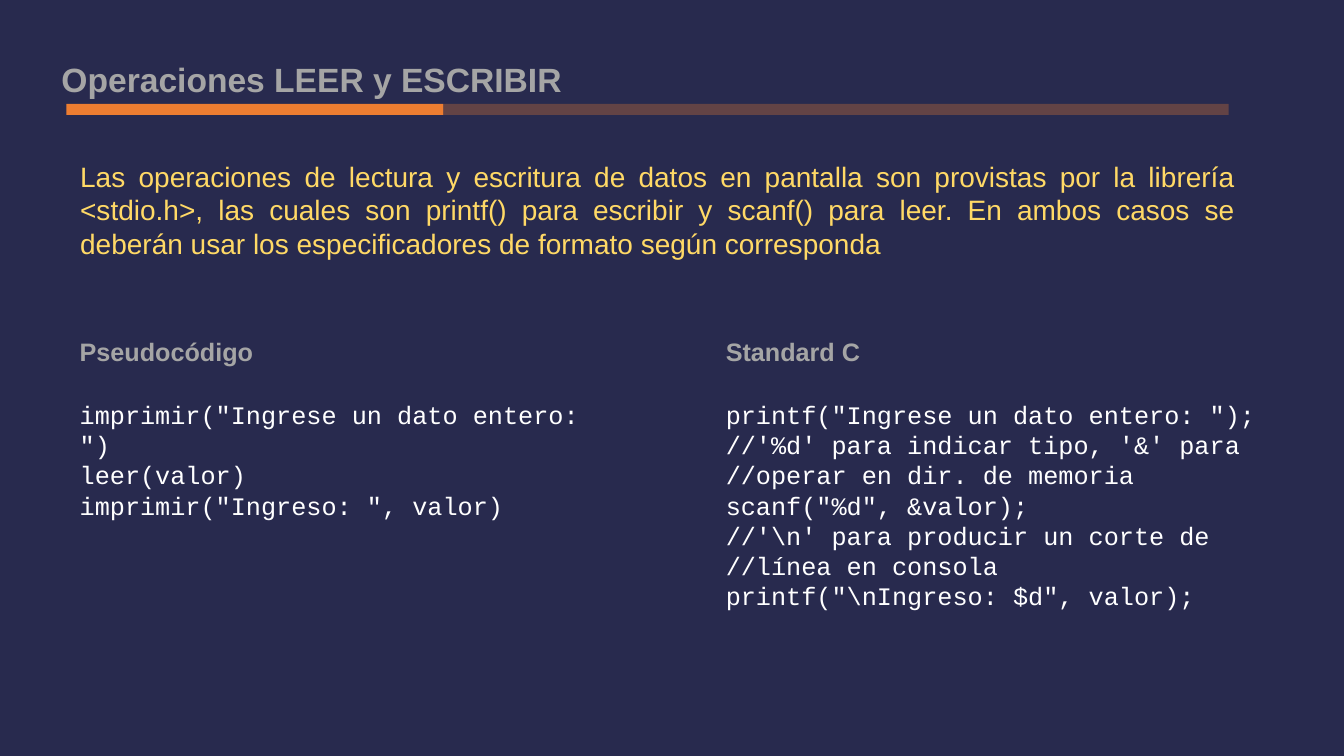
from dataclasses import dataclass

from pptx import Presentation
from pptx.dml.color import RGBColor as Rgb
from pptx.enum import shapes as shp, text as txt
from pptx.oxml.ns import qn
from pptx.util import Pt


@dataclass(frozen=True)
class Theme:
    back: str = "282A4E"
    head: str = "A5A5A5"
    accent: str = "ED7D31"
    lead: str = "FFD966"
    code: str = "FFFFFF"
    sans: str = "Arial"
    mono: str = "Courier New"
    big: int = 24
    mid: int = 20
    base: int = 18


T = Theme()


def place(shape, box):
    shape.left, shape.top, shape.width, shape.height = map(Pt, box)


def write(shape, box, words, size, color, font=T.sans, bold=False,
          align=txt.PP_ALIGN.LEFT):
    """Fill a text shape, without bullets or extra spacing."""
    place(shape, box)
    frame = shape.text_frame
    frame.text = words
    frame.word_wrap = True
    frame.auto_size = txt.MSO_AUTO_SIZE.NONE
    frame.vertical_anchor = txt.MSO_ANCHOR.TOP
    for para in frame.paragraphs:
        para.alignment = align
        para.space_before = Pt(0)
        props = para._p.get_or_add_pPr()
        props.set("marL", "0")
        props.set("indent", "0")
        props.append(props.makeelement(qn("a:buNone"), {}))
        for run in para.runs:
            run.font.size = Pt(size)
            run.font.name = font
            run.font.bold = bold
            run.font.color.rgb = Rgb.from_string(color)


def add_bar(slide, box, alpha=100):
    bar = slide.shapes.add_shape(shp.MSO_SHAPE.RECTANGLE, *map(Pt, box))
    bar.shadow.inherit = False
    bar.line.fill.background()
    bar.fill.solid()
    bar.fill.fore_color.rgb = Rgb.from_string(T.accent)
    if alpha < 100:
        tint = bar._element.spPr.find(".//" + qn("a:srgbClr"))
        tint.append(tint.makeelement(qn("a:alpha"), {"val": str(alpha * 1000)}))


def add_head(slide, box, words):
    """Title above a two-tone rule."""
    x, y, w, h = box
    write(slide.shapes.title, (x, y, 524, h), words, T.big, T.head, bold=True)
    left, split = x + 10.8, x + 280.1
    add_bar(slide, (left, y + h, split - left, 7.9))
    add_bar(slide, (split, y + h, x + w - split, 7.9), alpha=30)


def add_lead(slide, box, words):
    lead = slide.shapes.add_textbox(*map(Pt, box))
    write(lead, box, words, T.mid, T.lead, align=txt.PP_ALIGN.JUSTIFY)


def add_code(label, body, box, name, lines):
    """Column with a label above its code."""
    x, y, w, h = box
    gap = 44.6
    write(label, (x, y, 238.3, 28.8), name, T.base, T.head, bold=True)
    write(body, (x, y + gap, w, h - gap), "\n".join(lines), T.base, T.code, T.mono)


def build(deck):
    # Comparison layout: title, two labels, two bodies
    slide = deck.slides.add_slide(deck.slide_layouts[4])
    fill = slide.background.fill
    fill.solid()
    fill.fore_color.rgb = Rgb.from_string(T.back)

    # Heading
    add_head(slide, (36.7, 38.2, 841, 36), "Operaciones LEER y ESCRIBIR")

    # Introduction
    add_lead(slide, (50.2, 110.2, 839.5, 80),
             "Las operaciones de lectura y escritura de datos en pantalla son "
             "provistas por la librería <stdio.h>, las cuales son printf() para "
             "escribir y scanf() para leer. En ambos casos se deberán usar los "
             "especificadores de formato según corresponda")

    # Code columns
    label, body, label_c, body_c = list(slide.placeholders)[1:]
    add_code(label, body, (49.7, 236.9, 386, 117.3), "Pseudocódigo", [
        'imprimir("Ingrese un dato entero: ")',
        'leer(valor)',
        'imprimir("Ingreso: ", valor)',
    ])
    add_code(label_c, body_c, (511.2, 236.9, 397.4, 204.4), "Standard C", [
        'printf("Ingrese un dato entero: ");',
        "//'%d' para indicar tipo, '&' para",
        '//operar en dir. de memoria',
        'scanf("%d", &valor);',
        r"//'\n' para producir un corte de",
        '//línea en consola',
        r'printf("\nIngreso: $d", valor);',
    ])


def main():
    deck = Presentation()
    deck.slide_width, deck.slide_height = Pt(960), Pt(540)
    build(deck)
    deck.save("out.pptx")


if __name__ == "__main__":
    main()
